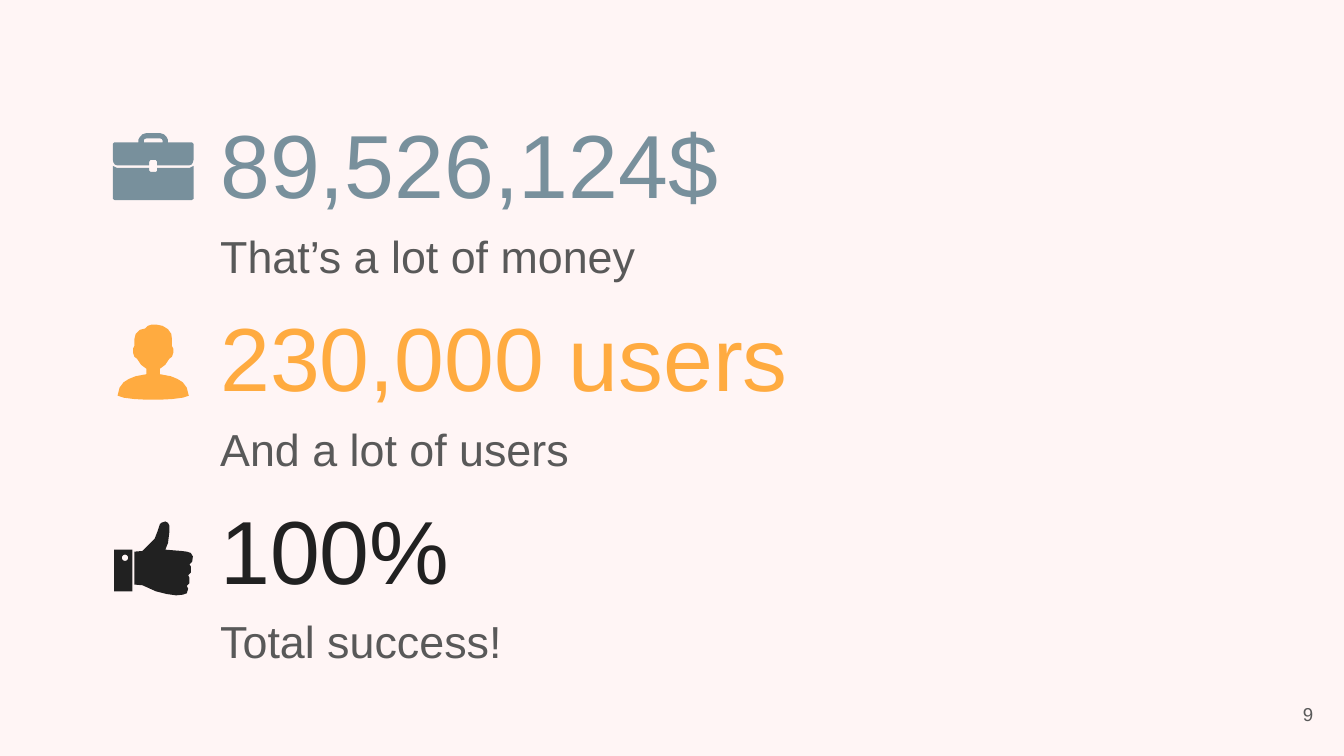
from math import cos, pi, sin

from pptx import Presentation
from pptx.dml.color import RGBColor as Color
from pptx.enum.text import MSO_ANCHOR as Anchor, PP_ALIGN as Align
from pptx.util import Inches, Pt

BACKDROP = Color(0xFF, 0xF5, 0xF5)
SLATE = Color(0x78, 0x90, 0x9C)
AMBER = Color(0xFF, 0xAB, 0x40)
INK = Color(0x21, 0x21, 0x21)
GREY = Color(0x59, 0x59, 0x59)

COLUMNS = 100            # square grid cells across the slide
ICON_AXIS = 11.4         # column on which every icon is centred
TEXT_LEFT, TEXT_WIDTH = 15.4, 61.8
FIRST_ROW, ROW_STEP = 7.1, 14.35


def mirrored(side):
    """Close the right half of an outline with its reflection in x = 0."""
    return side + [(-x, y) for x, y in reversed(side)]


def ring(x, y, radius, steps=12):
    angles = [2 * pi * step / steps for step in range(steps)]
    return [(x + radius * cos(a), y + radius * sin(a)) for a in angles]


# Icon points are tenths of a cell from the icon axis and the top of its row.
# An icon is a list of shapes; a shape is a list of outlines, later ones holes.
BRIEFCASE = [
    [mirrored([(5, 28), (8, 29), (10, 31), (11, 33), (11, 35), (29, 35),
               (30, 36), (30, 48), (29.5, 50), (28.5, 51.5), (27, 52),
               (3, 52), (3, 49.5), (2, 48)]),
     mirrored([(5, 32), (6.5, 32.5), (7, 33.5), (7, 35)])],
    [mirrored([(2, 57), (3, 56), (3, 54), (27, 54), (30, 52.5),
               (30, 77), (28.5, 78)])],
]
PERSON = [[
    [(-14, 43), (-14, 38), (-13, 34), (-10, 31), (-6, 30), (-4, 28),
     (-1, 27), (2, 27), (7, 28), (11, 30.5), (13.5, 34), (14, 38)]
    + mirrored([(14, 43), (15, 45), (15, 48), (14, 51), (12, 52.5),
                (9, 57), (5, 60), (5, 64), (13, 65.5), (18, 67.5),
                (22, 70), (25, 74), (26.5, 80), (22, 81.5), (14, 82.5),
                (4, 83)]),
]]
THUMB_UP = [
    [[(-29, 51), (-29, 82), (-15.5, 82), (-15.5, 51)], ring(-21, 57, 2.4)],
    [[(9, 30), (6, 31), (5, 32), (3, 38), (1, 43), (-2, 46), (-8, 52),
      (-14, 52.5), (-14, 77), (-8, 77.5), (2, 82), (10, 84), (17, 85),
      (22, 84.5), (25, 83.5), (26, 80), (25, 78), (27, 76), (27, 72),
      (26, 70), (28, 68), (28, 63.5), (27, 62), (29, 60), (29.5, 56),
      (28, 53.5), (25, 52.5), (21, 52), (9, 51), (11, 46), (12, 38),
      (12, 33), (11, 31)]],
]

ROWS = [
    ("89,526,124$", "That’s a lot of money", SLATE, BRIEFCASE),
    ("230,000 users", "And a lot of users", AMBER, PERSON),
    ("100%", "Total success!", INK, THUMB_UP),
]


class SlideBuilder:
    font = "Arial"

    def __init__(self, deck):
        self.cell = deck.slide_width / COLUMNS
        self.page = deck.slides.add_slide(deck.slide_layouts[6])
        fill = self.page.background.fill
        fill.solid()
        fill.fore_color.rgb = BACKDROP

    def length(self, cells):
        return round(cells * self.cell)

    def text(self, content, left, top, width, height, *, size, color=GREY,
             align=Align.LEFT, anchor=Anchor.TOP, spacing=1.0):
        area = map(self.length, (left, top, width, height))
        frame = self.page.shapes.add_textbox(*area).text_frame
        frame.word_wrap = True
        frame.vertical_anchor = anchor
        frame.margin_left = frame.margin_right = self.length(1)
        frame.margin_top = frame.margin_bottom = self.length(1)
        para = frame.paragraphs[0]
        para.alignment = align
        para.line_spacing = spacing
        span = para.add_run()
        span.text = content
        span.font.name = self.font
        span.font.size = Pt(size)
        span.font.color.rgb = color

    def icon(self, shapes, top, color):
        for outlines in shapes:
            self.outline(outlines, top, color)

    def outline(self, outlines, top, color):
        """Draw one filled freeform from closed outlines."""
        placed = [[(self.length(ICON_AXIS + x / 10), self.length(top + y / 10))
                   for x, y in points] for points in outlines]
        builder = self.page.shapes.build_freeform(*placed[0][0])
        for index, points in enumerate(placed):
            if index:
                builder.move_to(*points[0])
            builder.add_line_segments(points[1:], close=True)
        shape = builder.convert_to_shape()
        shape.shadow.inherit = False
        shape.fill.solid()
        shape.fill.fore_color.rgb = color
        shape.line.fill.background()


def main():
    deck = Presentation()
    deck.slide_width = Inches(10)
    deck.slide_height = deck.slide_width * 9 // 16
    slide = SlideBuilder(deck)
    for index, (figure, caption, color, icon) in enumerate(ROWS):
        top = FIRST_ROW + index * ROW_STEP
        slide.text(figure, TEXT_LEFT, top, TEXT_WIDTH, 9.8,
                   size=48, color=color)
        slide.text(caption, TEXT_LEFT, top + 8.3, TEXT_WIDTH, 5.1,
                   size=24, spacing=1.15)
        slide.icon(icon, top, color)
    slide.text("9", 92.7, 51, 6, 4.3, size=10,
               align=Align.RIGHT, anchor=Anchor.MIDDLE)
    deck.save("out.pptx")


if __name__ == "__main__":
    main()
